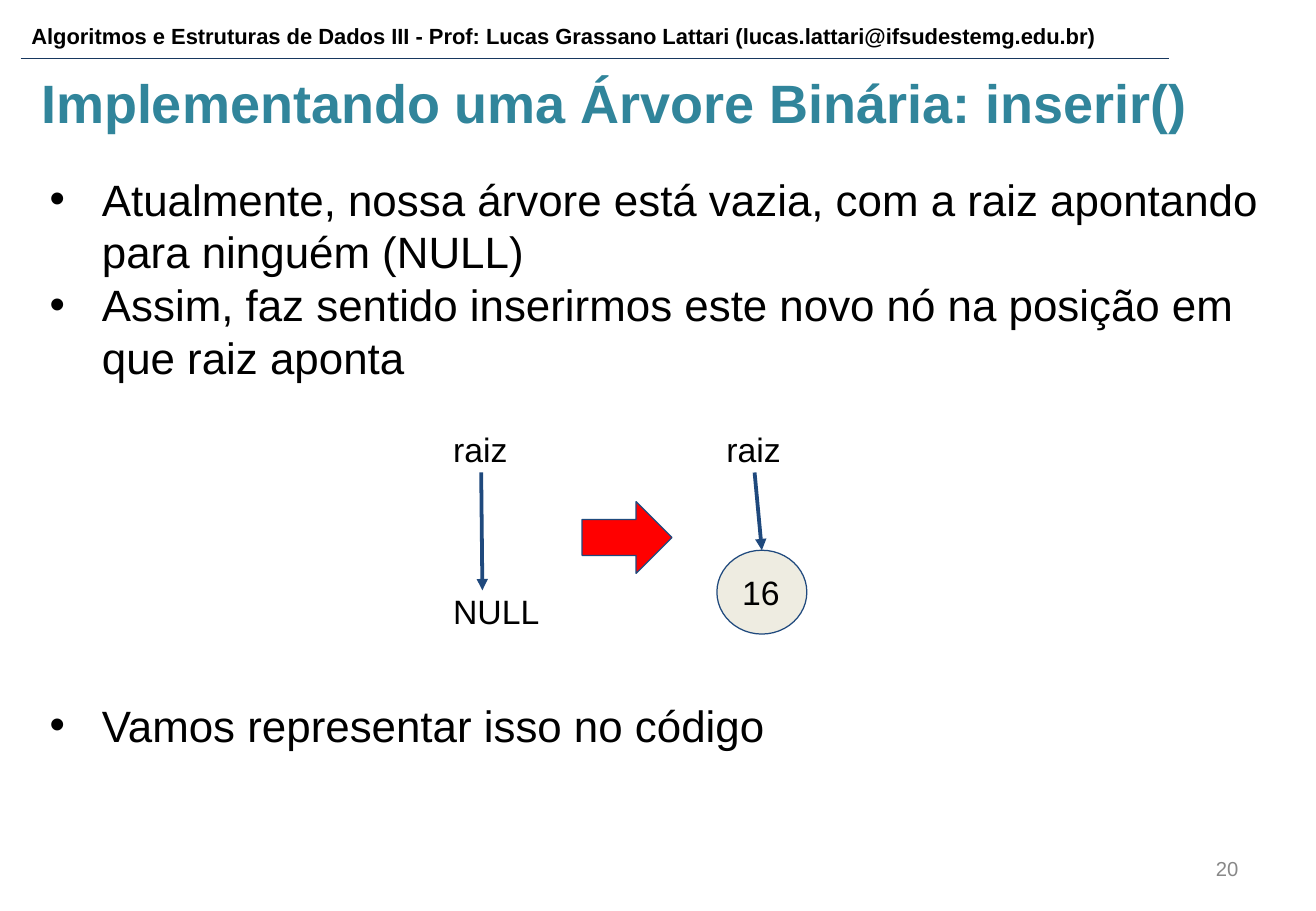
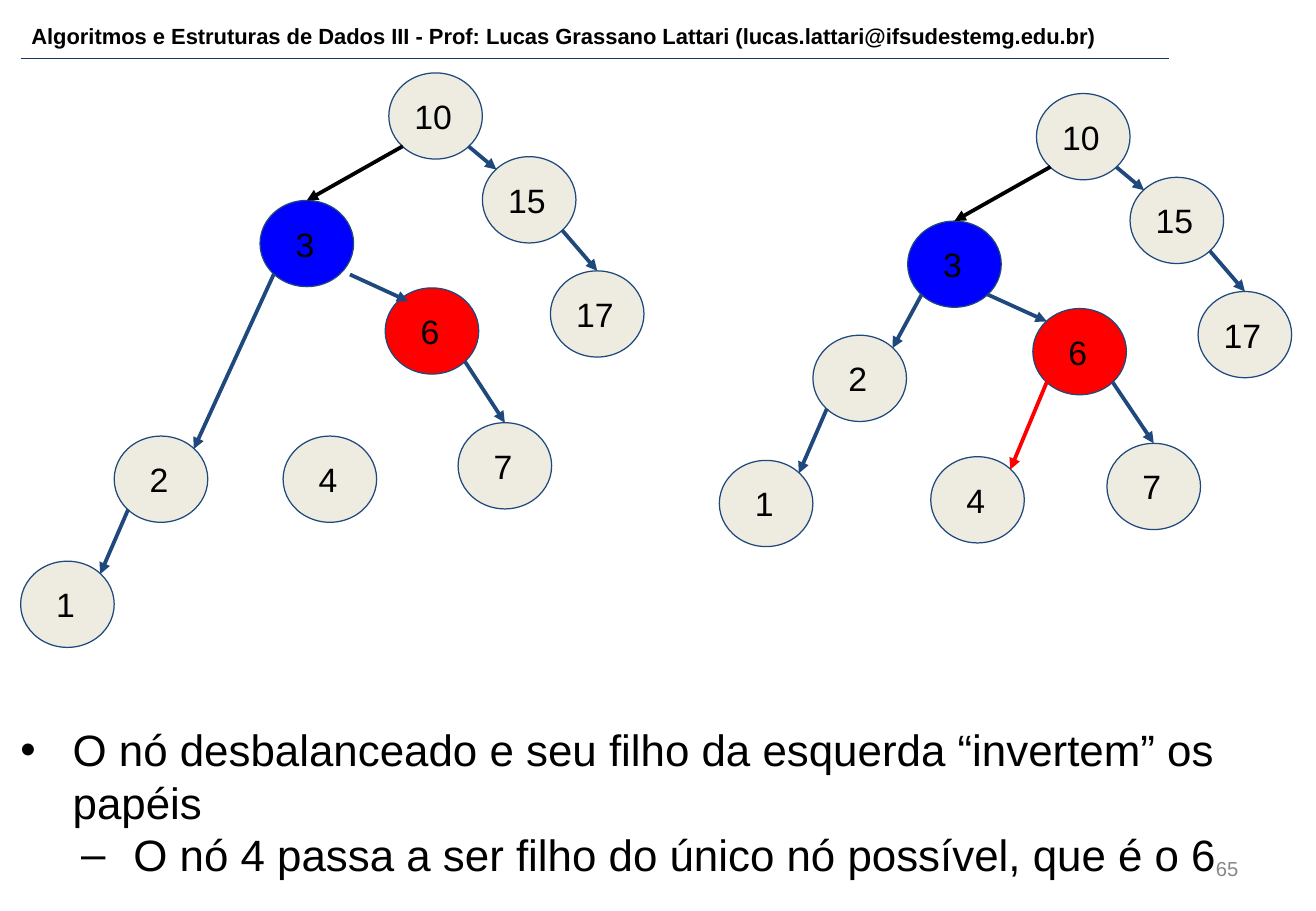
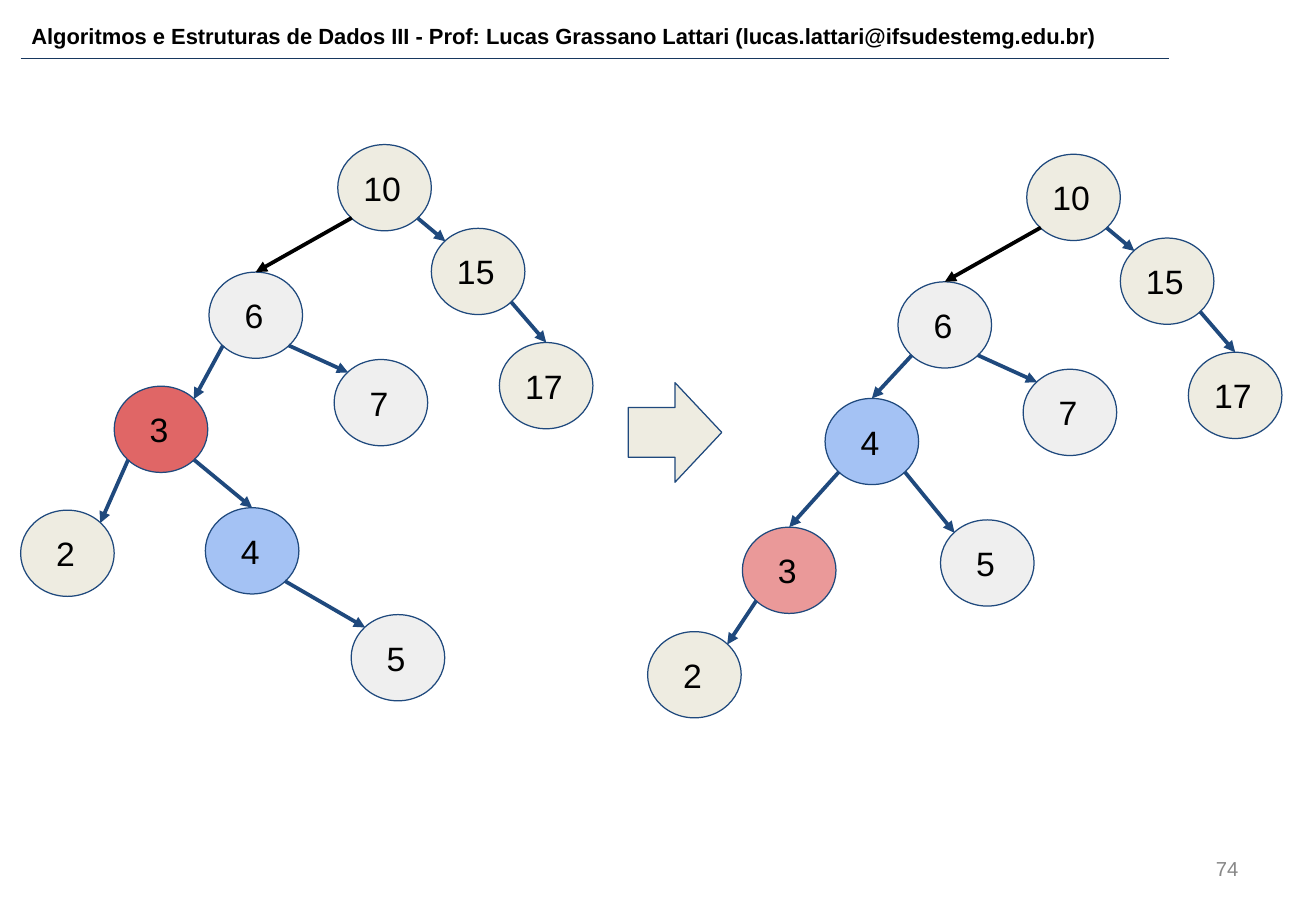
from dataclasses import dataclass
from typing import NamedTuple

from lxml import etree
from pptx import Presentation
from pptx.dml.color import RGBColor
from pptx.enum.shapes import MSO_CONNECTOR, MSO_SHAPE
from pptx.enum.text import MSO_ANCHOR, PP_ALIGN
from pptx.oxml.ns import qn
from pptx.shapes.autoshape import Shape
from pptx.slide import Slide
from pptx.text.text import TextFrame
from pptx.util import Inches, Pt

OVAL = MSO_SHAPE.OVAL
ARROW = MSO_SHAPE.RIGHT_ARROW
LINE = MSO_CONNECTOR.STRAIGHT
TOP, MIDDLE = MSO_ANCHOR.TOP, MSO_ANCHOR.MIDDLE
LEFT, RIGHT = PP_ALIGN.LEFT, PP_ALIGN.RIGHT


@dataclass(frozen=True)
class Theme:
    font: str = "Arial"
    ink: str = "000000"
    title: str = "31859B"
    rule: str = "17375E"
    edge: str = "1F497D"
    muted: str = "888888"
    cream: str = "EEECE1"
    pale: str = "EFEFEF"
    red: str = "FF0000"
    blue: str = "0000FF"
    coral: str = "E06666"
    rose: str = "EA9999"
    sky: str = "A4C2F4"
    head_size: float = 13
    title_size: float = 32
    body_size: float = 26
    node_size: float = 20
    page_size: float = 12
    thin: float = 0.75
    thick: float = 2.25


THEME = Theme()
HEADER = ("Algoritmos e Estruturas de Dados III - Prof: Lucas Grassano Lattari "
          "(lucas.lattari@ifsudestemg.edu.br)")


class Point(NamedTuple):
    x: float
    y: float


class Box(NamedTuple):
    x: float
    y: float
    w: float
    h: float


class Style(NamedTuple):
    size: float
    color: str = THEME.ink
    bold: bool = False


class Bullet(NamedTuple):
    text: str
    level: int = 0
    before: float = 0


class Node(NamedTuple):
    label: str
    x: float
    y: float
    fill: str = THEME.cream


class Edge(NamedTuple):
    start: str
    end: str
    port: str
    color: str = THEME.edge


BODY = Style(THEME.body_size)
LABEL = Style(THEME.node_size)
NODE_W, NODE_H = 0.77, 0.71
NEAR, FAR = 0.15, 0.85
PORTS = {"N": (0.5, 0), "NW": (NEAR, NEAR), "NE": (FAR, NEAR),
         "SW": (NEAR, FAR), "SE": (FAR, FAR)}


def rgb(color: str) -> RGBColor:
    return RGBColor.from_string(color)


def setup(frame: TextFrame, anchor: MSO_ANCHOR, side: float, pad: float) -> None:
    frame.word_wrap = True
    frame.vertical_anchor = anchor
    frame.margin_left = Inches(side)
    frame.margin_right = Inches(0.1)
    frame.margin_top = frame.margin_bottom = Inches(pad)


def write(para, text: str, style: Style) -> None:
    run = para.add_run()
    run.text = text
    font = run.font
    font.name, font.size, font.bold = THEME.font, Pt(style.size), style.bold
    font.color.rgb = rgb(style.color)


def textbox(slide: Slide, box: Box, anchor: MSO_ANCHOR = TOP,
            pad: float = 0.05) -> TextFrame:
    frame = slide.shapes.add_textbox(*map(Inches, box)).text_frame
    setup(frame, anchor, 0.1, pad)
    return frame


def label(slide: Slide, box: Box, text: str, style: Style, anchor: MSO_ANCHOR = TOP,
          pad: float = 0.05, align: PP_ALIGN = LEFT) -> None:
    para = textbox(slide, box, anchor, pad).paragraphs[0]
    para.alignment = align
    write(para, text, style)


def bullets(slide: Slide, box: Box, items: list[Bullet],
            anchor: MSO_ANCHOR = TOP) -> None:
    frame = textbox(slide, box, anchor)
    for i, item in enumerate(items):
        para = frame.add_paragraph() if i else frame.paragraphs[0]
        para.level = item.level
        para.space_before = Pt(item.before)
        props = para._p.get_or_add_pPr()
        props.set("marL", str(Inches(0.5 * (item.level + 1))))
        props.set("indent", str(Inches(-0.43)))
        tint = etree.SubElement(props, qn("a:buClr"))
        etree.SubElement(tint, qn("a:srgbClr"), val=THEME.ink)
        etree.SubElement(props, qn("a:buFont"), typeface=THEME.font)
        etree.SubElement(props, qn("a:buChar"), char="•–"[item.level])
        write(para, item.text, BODY)


def line(slide: Slide, start: Point, end: Point, color: str, width: float,
         head: bool = True) -> None:
    link = slide.shapes.add_connector(LINE, *map(Inches, (*start, *end)))
    link.line.color.rgb = rgb(color)
    link.line.width = Pt(width)
    if head:
        etree.SubElement(link.line._get_or_add_ln(), qn("a:tailEnd"), type="triangle")
    etree.SubElement(link._element.spPr, qn("a:effectLst"))


def arrow(slide: Slide, start: Point, end: Point, color: str = THEME.edge) -> None:
    line(slide, start, end, color, THEME.thick)


def solid(slide: Slide, kind: MSO_SHAPE, box: Box, fill: str) -> Shape:
    shape = slide.shapes.add_shape(kind, *map(Inches, box))
    shape.shadow.inherit = False
    shape.fill.solid()
    shape.fill.fore_color.rgb = rgb(fill)
    shape.line.color.rgb = rgb(THEME.edge)
    shape.line.width = Pt(THEME.thin)
    return shape


def circle(slide: Slide, node: Node, w: float = NODE_W, h: float = NODE_H) -> None:
    shape = solid(slide, OVAL, Box(node.x, node.y, w, h), node.fill)
    frame = shape.text_frame
    setup(frame, MIDDLE, 0.18 if len(node.label) == 1 else 0.1, 0.1)
    para = frame.paragraphs[0]
    para.alignment = LEFT
    write(para, node.label, LABEL)


def dock(node: Node, port: str) -> Point:
    across, down = PORTS[port]
    return Point(node.x + across * NODE_W, node.y + down * NODE_H)


def tree(slide: Slide, root: Point, left: tuple[str, str], inner: tuple[str, str],
         extra: list[Node], edges: list[Edge]) -> None:
    x, y = root
    crown = [
        Node("10", x, y),
        Node(left[0], x - 1.06, y + 1.05, left[1]),
        Node(inner[0], x - 0.03, y + 1.77, inner[1]),
        Node("15", x + 0.77, y + 0.69),
        Node("17", x + 1.33, y + 1.63),
    ]
    nodes = {node.label: node for node in crown + extra}
    for node in nodes.values():
        circle(slide, node)
    common = [Edge("10", left[0], "N", THEME.ink),
              Edge("10", "15", "NW"), Edge("15", "17", "N")]
    for edge in common + edges:
        start, end = nodes[edge.start], nodes[edge.end]
        side = "SW" if end.x < start.x else "SE"
        arrow(slide, dock(start, side), dock(end, edge.port), edge.color)


def page(deck, number: int) -> Slide:
    slide = deck.slides.add_slide(deck.slide_layouts[6])
    label(slide, Box(0.16, 0.14, 9.63, 0.3), HEADER,
          Style(THEME.head_size, bold=True))
    line(slide, Point(0.17, 0.48), Point(9.62, 0.48), THEME.rule, THEME.thin, False)
    label(slide, Box(7.76, 6.95, 2.53, 0.4), str(number),
          Style(THEME.page_size, THEME.muted), MIDDLE, align=RIGHT)
    return slide


def insert(deck) -> None:
    slide = page(deck, 20)
    label(slide, Box(0.24, 0.52, 10.43, 0.69),
          "Implementando uma Árvore Binária: inserir()",
          Style(THEME.title_size, THEME.title, True))
    bullets(slide, Box(0.24, 1.37, 10.28, 5.03), [
        Bullet("Atualmente, nossa árvore está vazia, com a raiz apontando "
               "para ninguém (NULL)"),
        Bullet("Assim, faz sentido inserirmos este novo nó na posição em "
               "que raiz aponta"),
        Bullet("Vamos representar isso no código", before=187),
    ])
    for text, x, y in (("raiz", 3.63, 3.43), ("NULL", 3.63, 4.76), ("raiz", 5.88, 3.43)):
        label(slide, Box(x, y, 1.2, 0.5), text, LABEL, pad=0.1)
    arrow(slide, Point(3.96, 3.89), Point(3.97, 4.86))
    solid(slide, ARROW, Box(4.79, 4.13, 0.74, 0.59), THEME.red)
    circle(slide, Node("16", 5.9, 4.53), 0.74, 0.69)
    arrow(slide, Point(6.21, 3.89), Point(6.27, 4.53))


def swap(deck) -> None:
    slide = page(deck, 65)
    left, inner = ("3", THEME.blue), ("6", THEME.red)
    edges = [Edge("3", "2", "NE"), Edge("2", "1", "NE"), Edge("6", "7", "N")]
    tree(slide, Point(3.2, 0.6), left, inner,
         [Node("7", 3.77, 3.48), Node("2", 0.94, 3.59),
          Node("4", 2.33, 3.59), Node("1", 0.17, 4.62)], edges)
    arrow(slide, Point(2.88, 2.26), Point(3.36, 2.48))
    tree(slide, Point(8.53, 0.77), left, inner,
         [Node("7", 9.11, 3.65), Node("2", 6.69, 2.76),
          Node("4", 7.66, 3.76), Node("1", 5.92, 3.79)],
         edges + [Edge("3", "6", "NW"), Edge("6", "4", "NE", THEME.red)])
    bullets(slide, Box(0, 5.7, 10.16, 1.8), [
        Bullet("O nó desbalanceado e seu filho da esquerda “invertem” os papéis"),
        Bullet("O nó 4 passa a ser filho do único nó possível, que é o 6", 1),
    ], MIDDLE)


def rotate(deck) -> None:
    slide = page(deck, 74)
    left, inner = ("6", THEME.pale), ("7", THEME.pale)
    edges = [Edge("6", "7", "NW"), Edge("3", "2", "NE"), Edge("4", "5", "NW")]
    tree(slide, Point(2.78, 1.19), left, inner,
         [Node("3", 0.94, 3.18, THEME.coral), Node("2", 0.17, 4.2),
          Node("4", 1.69, 4.18, THEME.sky), Node("5", 2.89, 5.06, THEME.pale)],
         edges + [Edge("6", "3", "NE"), Edge("3", "4", "N")])
    tree(slide, Point(8.45, 1.27), left, inner,
         [Node("3", 6.11, 4.34, THEME.rose), Node("2", 5.33, 5.2),
          Node("4", 6.79, 3.28, THEME.sky), Node("5", 7.74, 4.28, THEME.pale)],
         edges + [Edge("6", "4", "N"), Edge("4", "3", "N")])
    solid(slide, ARROW, Box(5.17, 3.15, 0.77, 0.82), THEME.cream)


def main() -> None:
    deck = Presentation()
    deck.slide_width, deck.slide_height = Inches(10.83), Inches(7.5)
    for build in (insert, swap, rotate):
        build(deck)
    deck.save("out.pptx")


if __name__ == "__main__":
    main()
